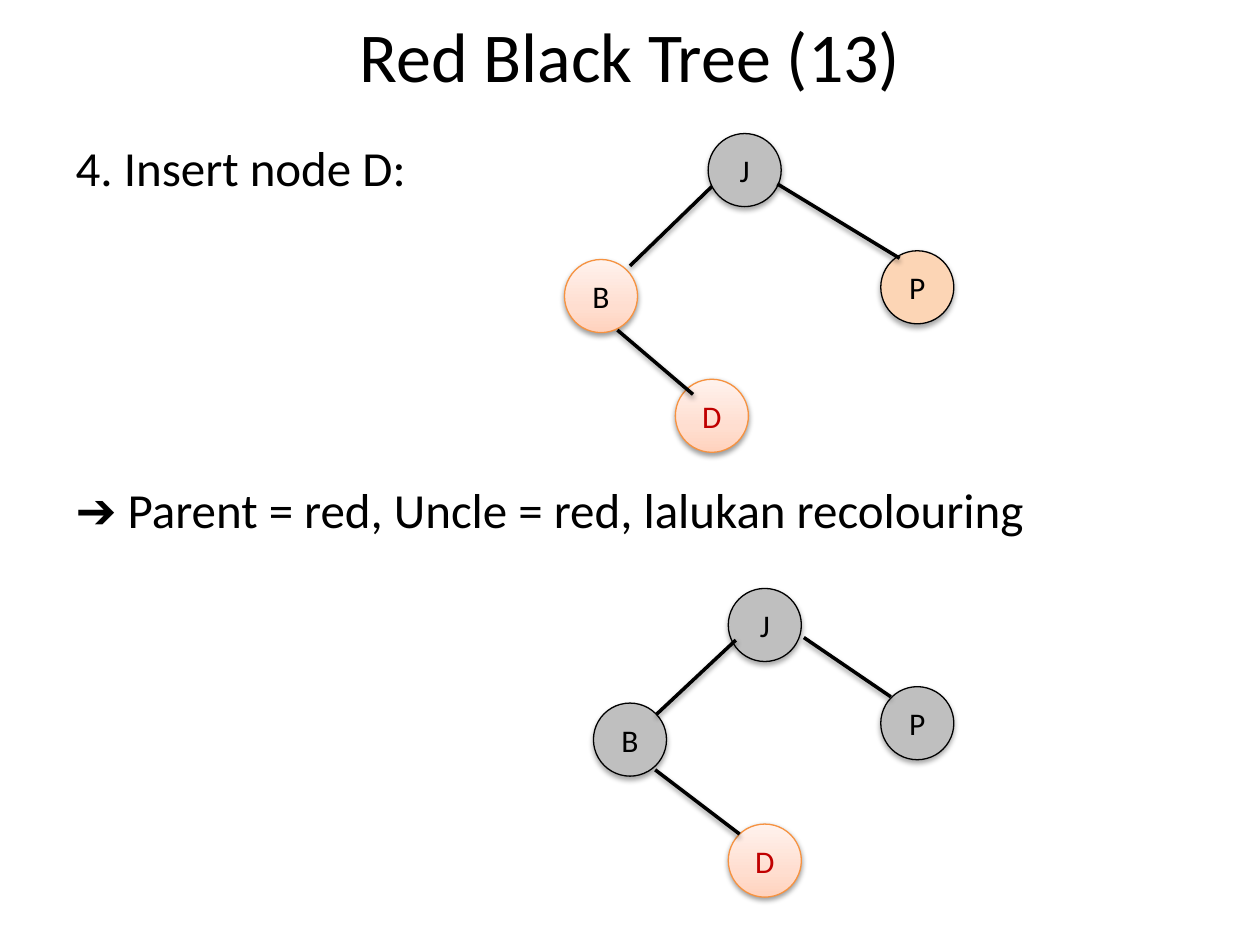
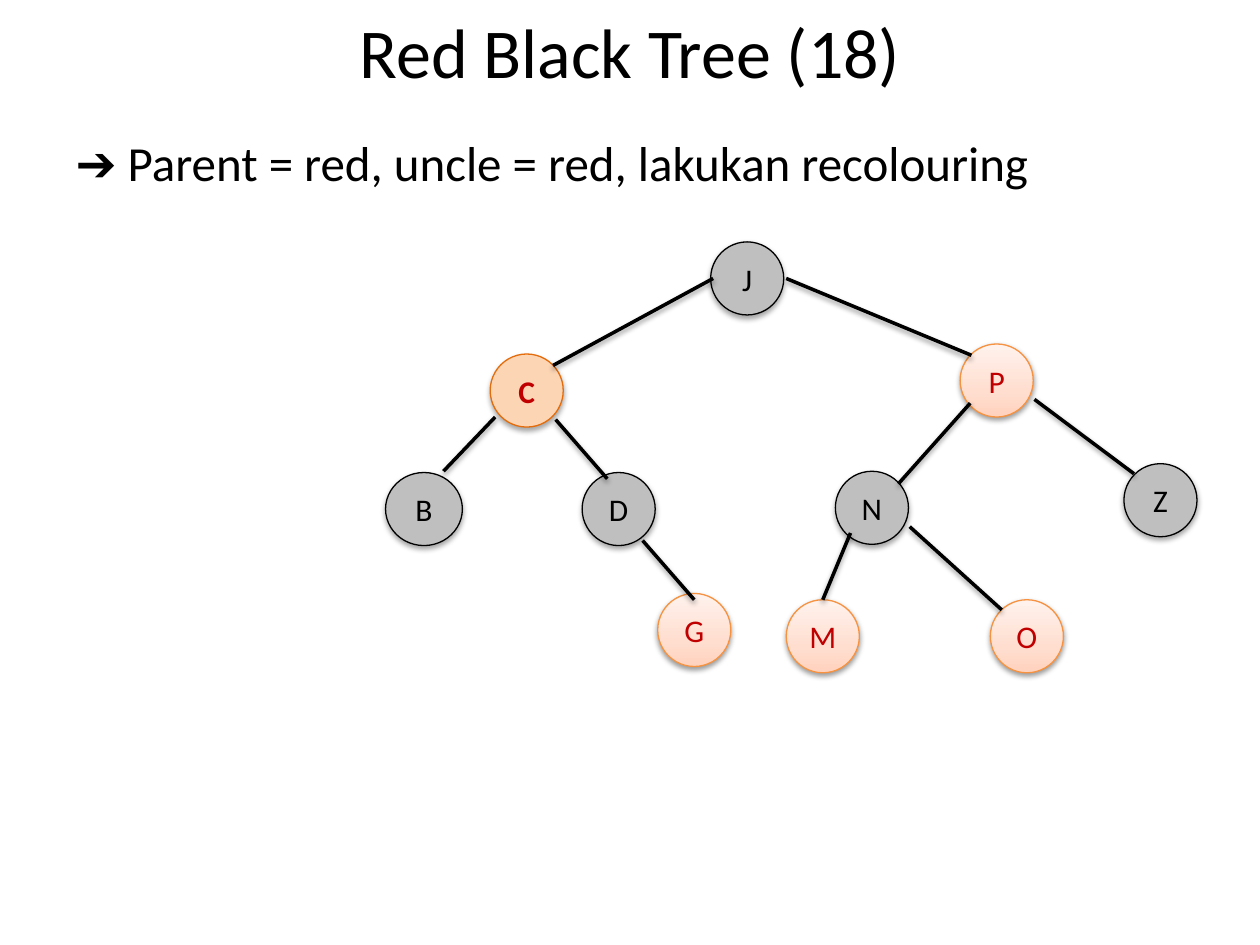
from lxml.etree import SubElement
from pptx import Presentation
from pptx.dml.color import RGBColor
from pptx.enum.shapes import MSO_CONNECTOR, MSO_SHAPE
from pptx.enum.text import MSO_ANCHOR, MSO_AUTO_SIZE, PP_ALIGN
from pptx.oxml import parse_xml
from pptx.oxml.ns import nsdecls, qn
from pptx.util import Inches, Pt

FONT = "Calibri"
INK = "000000"
RED = "C00000"
SIZE = 0.58
GLOW = ((0, "FFD2BD"), (35, "FFDED0"), (100, "FFF2ED"))
KINDS = {
    "black": ("BFBFBF", INK, INK),
    "red": (GLOW, "F69240", RED),
    "parent": (GLOW, "F69240", INK),
    "uncle": ("FCD5B5", INK, INK),
    "root": ("FCD5B5", "E46C0A", RED),
}

INSERT = (
    [
        ("J", "black", 5.62, 1.06),
        ("P", "uncle", 6.99, 1.99),
        ("B", "parent", 4.48, 2.06),
        ("D", "red", 5.36, 3.01),
    ],
    [
        (5.65, 1.48, 5, 2.11),
        (7.14, 2.05, 6.17, 1.46),
        (5.5, 3.13, 4.9, 2.62),
    ],
)
RECOLOUR = (
    [
        ("J", "black", 5.78, 4.67),
        ("P", "black", 6.99, 5.45),
        ("B", "black", 4.71, 5.58),
        ("D", "red", 5.78, 6.54),
    ],
    [
        (7.07, 5.53, 6.38, 5.06),
        (5.87, 6.62, 5.2, 6.11),
        (5.84, 5.08, 5.21, 5.67),
    ],
)
FULL = (
    [
        ("J", "black", 5.64, 1.92),
        ("C", "root", 3.89, 2.81),
        ("P", "red", 7.62, 2.73),
        ("B", "black", 3.06, 3.75, 0.61),
        ("D", "black", 4.62, 3.75),
        ("N", "black", 6.63, 3.74),
        ("Z", "black", 8.92, 3.68),
        ("G", "red", 5.22, 4.71),
        ("M", "red", 6.24, 4.76),
        ("O", "red", 7.86, 4.76),
    ],
    [
        (5.66, 2.21, 4.39, 2.9),
        (7.71, 2.82, 6.24, 2.21),
        (3.93, 3.31, 3.52, 3.74),
        (4.82, 3.8, 4.41, 3.33),
        (7.7, 3.2, 7.13, 3.84),
        (9, 3.76, 8.21, 3.17),
        (5.51, 4.76, 5.1, 4.29),
        (6.75, 4.23, 6.53, 4.76),
        (7.95, 4.84, 7.22, 4.18),
    ],
)


def rgb(code):
    return RGBColor.from_string(code)


def style(para, size, ink=INK, bold=False):
    font = para.font
    font.name = FONT
    font.size = Pt(size)
    font.bold = bold
    font.color.rgb = rgb(ink)


def place(shape, left, top, width, height):
    shape.left, shape.top = Inches(left), Inches(top)
    shape.width, shape.height = Inches(width), Inches(height)


def shade(shape, alpha=38, drop=1.6):
    props = shape._element.spPr
    effect = props.find(qn("a:effectLst"))
    if effect is None:
        effect = SubElement(props, qn("a:effectLst"))
    effect.append(parse_xml(
        f'<a:outerShdw {nsdecls("a")} blurRad="{Pt(3.1)}" dist="{Pt(drop)}" '
        f'dir="5400000" rotWithShape="0"><a:srgbClr val="{INK}">'
        f'<a:alpha val="{alpha * 1000}"/></a:srgbClr></a:outerShdw>'
    ))


def blend(shape, stops):
    marks = "".join(
        f'<a:gs pos="{pos * 1000}"><a:srgbClr val="{code}"/></a:gs>'
        for pos, code in stops
    )
    shape._element.spPr.find(qn("a:prstGeom")).addnext(parse_xml(
        f'<a:gradFill {nsdecls("a")} rotWithShape="1"><a:gsLst>{marks}</a:gsLst>'
        '<a:lin ang="16200000" scaled="0"/></a:gradFill>'
    ))


def add_node(slide, text, kind, left, top, width=SIZE):
    fill, edge, ink = KINDS[kind]
    node = slide.shapes.add_shape(
        MSO_SHAPE.OVAL, Inches(left), Inches(top), Inches(width), Inches(SIZE)
    )
    node.line.color.rgb = rgb(edge)
    node.line.width = Pt(0.75)
    node.shadow.inherit = False
    if fill is GLOW:
        blend(node, fill)
        shade(node)
    else:
        node.fill.solid()
        node.fill.fore_color.rgb = rgb(fill)
        shade(node, 35, 1.8)
    frame = node.text_frame
    frame.vertical_anchor = MSO_ANCHOR.MIDDLE
    para = frame.paragraphs[0]
    para.text = text
    para.alignment = PP_ALIGN.CENTER
    style(para, 18, ink, kind == "root")


def add_edge(slide, *ends):
    edge = slide.shapes.add_connector(
        MSO_CONNECTOR.STRAIGHT, *(Inches(end) for end in ends)
    )
    edge.line.color.rgb = rgb(INK)
    edge.line.width = Pt(2)
    shade(edge)


def add_tree(slide, tree):
    nodes, edges = tree
    for node in nodes:
        add_node(slide, *node)
    for edge in edges:
        add_edge(slide, *edge)


def add_title(slide, text, top, height):
    title = slide.shapes.title
    place(title, 0.5, top, 9, height)
    frame = title.text_frame
    frame.auto_size = MSO_AUTO_SIZE.NONE
    frame.vertical_anchor = MSO_ANCHOR.MIDDLE
    para = frame.paragraphs[0]
    para.text = text
    para.alignment = PP_ALIGN.CENTER
    style(para, 40)


def add_body(slide, lines, top, height, gap=0):
    body = slide.placeholders[1]
    place(body, 0.5, top, 9, height)
    frame = body.text_frame
    frame.auto_size = MSO_AUTO_SIZE.NONE
    frame.text = "\n".join(lines)
    for rank, para in enumerate(frame.paragraphs):
        props = para._p.get_or_add_pPr()
        props.set("marL", "0")
        props.set("indent", "0")
        SubElement(props, qn("a:buNone"))
        para.space_before = Pt(gap if rank else 0)
        style(para, 28)


def main():
    deck = Presentation()
    deck.slide_width, deck.slide_height = Inches(10), Inches(7.5)
    layout = deck.slide_layouts[1]

    slide = deck.slides.add_slide(layout)
    add_title(slide, "Red Black Tree (13)", 0.01, 0.84)
    lines = ["4. Insert node D:", "➔ Parent = red, Uncle = red, lalukan recolouring"]
    add_body(slide, lines, 1.04, 5.66, 162)
    add_tree(slide, INSERT)
    add_tree(slide, RECOLOUR)

    slide = deck.slides.add_slide(layout)
    add_title(slide, "Red Black Tree (18)", 0, 0.8)
    add_body(slide, ["➔ Parent = red, uncle = red, lakukan recolouring"], 1, 5.7)
    add_tree(slide, FULL)

    deck.save("out.pptx")


if __name__ == "__main__":
    main()
